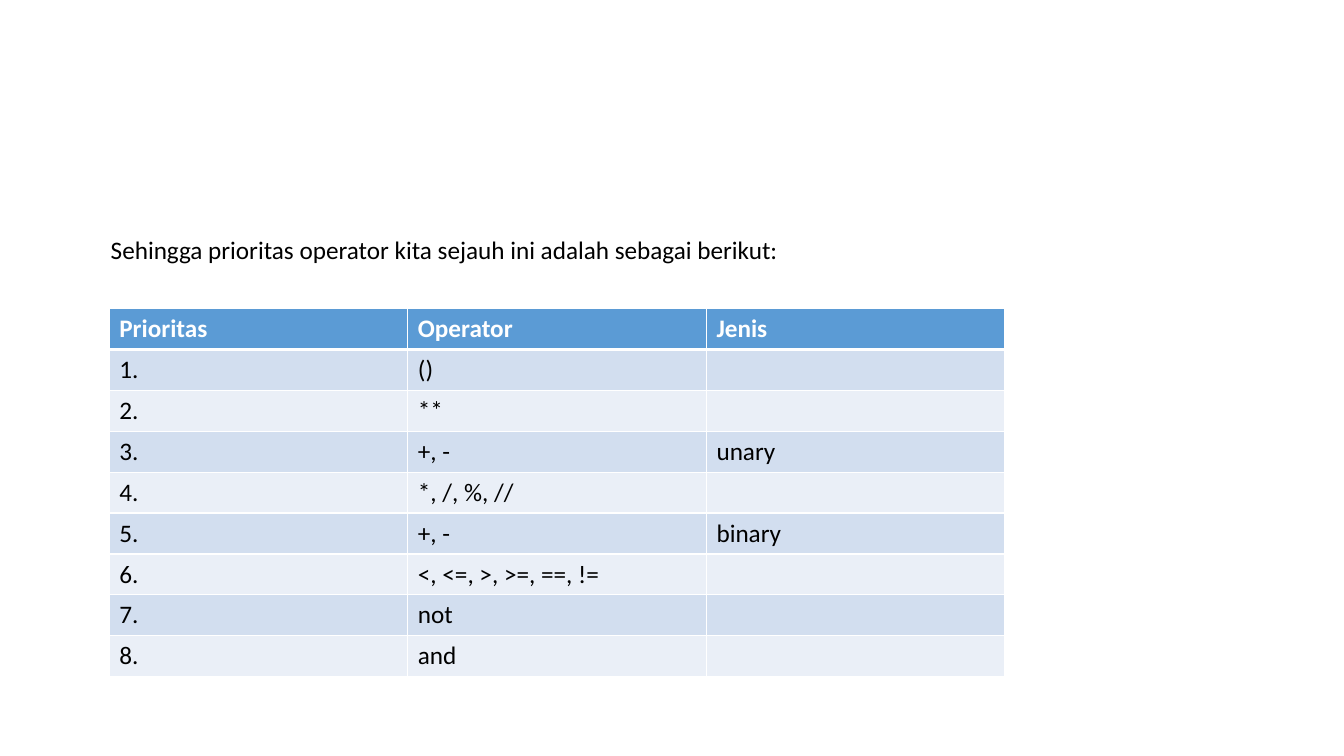
from lxml import etree
from pptx import Presentation
from pptx.dml.color import RGBColor
from pptx.enum import text
from pptx.oxml import ns
from pptx.util import Pt

BLACK = RGBColor(0x00, 0x00, 0x00)
WHITE = RGBColor(0xFF, 0xFF, 0xFF)
HEADER_BLUE = RGBColor(0x5B, 0x9B, 0xD5)
BANDS = [RGBColor(0xD2, 0xDE, 0xEF), RGBColor(0xEA, 0xEF, 0xF7)]

INTRO = "Sehingga prioritas operator kita sejauh ini adalah sebagai berikut:"
HEADINGS = ["Prioritas", "Operator", "Jenis"]
OPERATORS = [
    ("()", ""),
    ("**", ""),
    ("+, -", "unary"),
    ("*, /, %, //", ""),
    ("+, -", "binary"),
    ("<, <=, >, >=, ==, !=", ""),
    ("not", ""),
    ("and", ""),
]


def write(para, words, color, bold=False):
    para.text = words
    for name, value in {"name": "Calibri", "size": Pt(18), "bold": bold}.items():
        setattr(para.font, name, value)
    para.font.color.rgb = color


def add_intro(page, left, top, width, height):
    frame = page.shapes.add_textbox(Pt(left), Pt(top), Pt(width), Pt(height)).text_frame
    frame.word_wrap = True
    write(frame.paragraphs[0], INTRO, BLACK)


def set_borders(cell, color, widths):
    """Draw the cell sides; widths maps L, R, T, B (in that order) to points."""
    properties = cell._tc.get_or_add_tcPr()
    for side, width in widths.items():
        line = etree.SubElement(properties, ns.qn(f"a:ln{side}"), w=str(Pt(width)))
        fill = etree.SubElement(line, ns.qn("a:solidFill"))
        etree.SubElement(fill, ns.qn("a:srgbClr"), val=str(color))


def add_priority_table(page, left, top, width, height):
    rows = [HEADINGS] + [(f"{number}.", *entry) for number, entry in enumerate(OPERATORS, 1)]
    table = page.shapes.add_table(
        len(rows), len(HEADINGS), Pt(left), Pt(top), Pt(width), Pt(height)
    ).table
    for row, entries in enumerate(rows):
        header = row == 0
        for column, words in enumerate(entries):
            cell = table.cell(row, column)
            write(cell.text_frame.paragraphs[0], words, WHITE if header else BLACK, header)
            if header:
                cell.vertical_anchor = text.MSO_ANCHOR.BOTTOM
            set_borders(cell, WHITE, {"L": 1, "R": 1, "T": 3 if row == 1 else 1, "B": 3 if header else 1})
            cell.fill.solid()
            cell.fill.fore_color.rgb = HEADER_BLUE if header else BANDS[(row - 1) % 2]


def main():
    deck = Presentation()
    deck.slide_width, deck.slide_height = Pt(960), Pt(540)
    page = deck.slides.add_slide(deck.slide_layouts[6])
    add_intro(page, 72, 163.5, 580, 29)
    add_priority_table(page, 78, 220.5, 640, 262.8)
    deck.save("out.pptx")


if __name__ == "__main__":
    main()
